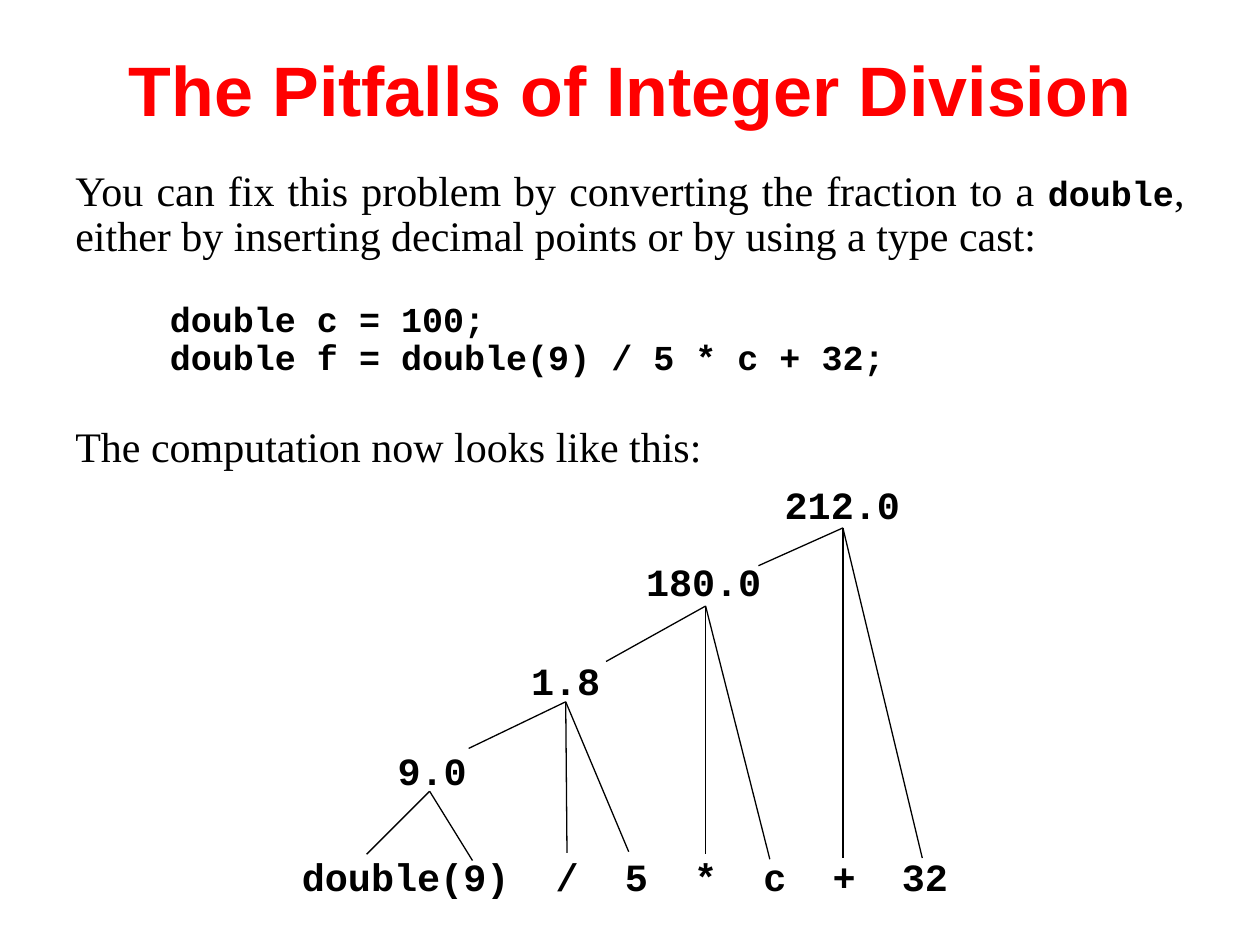
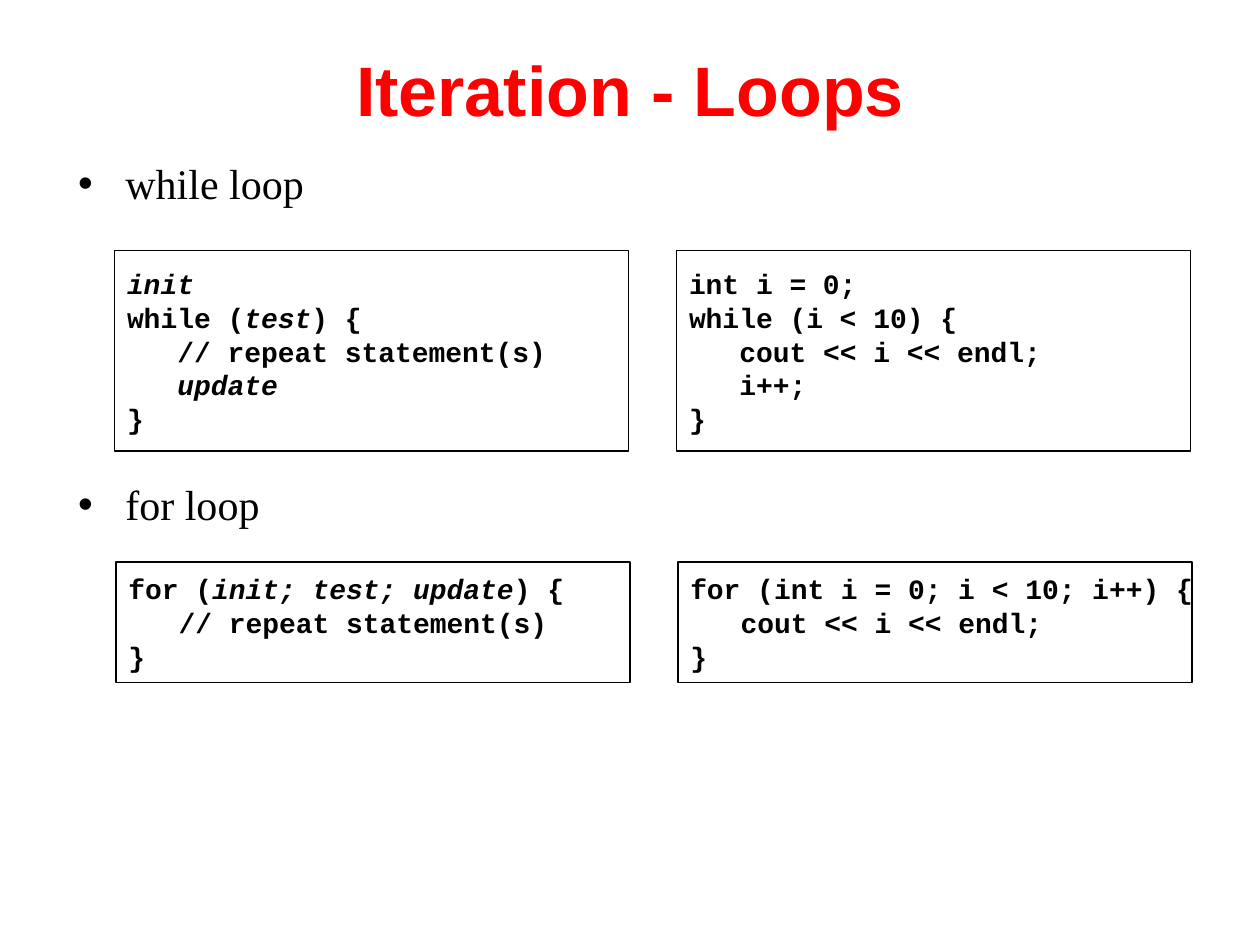
from pptx import Presentation
from pptx import util as u
from pptx.dml.color import RGBColor
from pptx.enum import shapes, text
from pptx.oxml import ns
from lxml import etree

COLORS = {"title": "FF0000", "ink": "000000", "paper": "FFFFFF"}
SERIF, MONO, SANS = "Times New Roman", "Courier New", "Arial"
ALIGN = text.PP_ALIGN
CODE = dict(font=MONO, size=20, bold=True)
TREE = dict(font=MONO, size=22, bold=True, align=ALIGN.CENTER, spacing=0.9)
LISTING = dict(font=MONO, size=16, bold=True, align=ALIGN.LEFT)
ITALIC = dict(italic=True)
CODE_INDENT = 0.4  # three characters of the listing font


def write(paragraph, pieces, font=SERIF, size=24, color="ink", bold=False,
          italic=False, tracking=0, align=ALIGN.JUSTIFY, spacing=1.0, before=0):
    """Fill a paragraph with a string, or with strings and (string, format) pairs."""
    paragraph.alignment = align
    paragraph.line_spacing = spacing
    paragraph.space_before = u.Pt(before)
    base = dict(font=font, size=size, bold=bold, italic=italic, tracking=tracking)
    for piece in [pieces] if isinstance(pieces, str) else pieces:
        words, changes = (piece, {}) if isinstance(piece, str) else piece
        look = {**base, **changes}
        run = paragraph.add_run()
        run.text = words
        run.font.name = look["font"]
        run.font.size = u.Pt(look["size"])
        run.font.bold = look["bold"]
        run.font.italic = look["italic"]
        run.font.color.rgb = RGBColor.from_string(COLORS[color])
        if look["tracking"]:
            run.font._element.set("spc", str(int(look["tracking"] * 100)))


class Deck:
    """The shared style and the slide being filled."""

    def __init__(self):
        """Start an empty 10 by 7.5 inch presentation."""
        self.prs = Presentation()
        self.prs.slide_width, self.prs.slide_height = u.Inches(10), u.Inches(7.5)
        self.slide = None

    def new_slide(self, title, layout):
        """Add a slide with the common title."""
        self.slide = self.prs.slides.add_slide(self.prs.slide_layouts[layout])
        heading = self.slide.shapes.title
        self.place(heading, 0, 0.08, 10, 1.25)
        frame = heading.text_frame
        frame.vertical_anchor = text.MSO_ANCHOR.MIDDLE
        write(frame.paragraphs[0], title, font=SANS, size=40, color="title",
              bold=True, align=ALIGN.CENTER)

    def place(self, shape, left, top, width, height):
        """Move and size a shape, in inches."""
        shape.left, shape.top = u.Inches(left), u.Inches(top)
        shape.width, shape.height = u.Inches(width), u.Inches(height)

    def bullets(self, items, left, top, width, height):
        """Fill the body placeholder with (text, space before) items."""
        body = self.slide.placeholders[1]
        self.place(body, left, top, width, height)
        frame = body.text_frame
        frame.auto_size = text.MSO_AUTO_SIZE.NONE
        for i, (item, before) in enumerate(items):
            paragraph = frame.add_paragraph() if i else frame.paragraphs[0]
            write(paragraph, item, spacing=0.85, before=before)

    def textbox(self, lines, left, top, width, height, **style):
        """Add a wrapping text box with one paragraph per line."""
        box = self.slide.shapes.add_textbox(*map(u.Inches, (left, top, width, height)))
        frame = box.text_frame
        frame.word_wrap = True
        frame.auto_size = text.MSO_AUTO_SIZE.SHAPE_TO_FIT_TEXT
        for i, line in enumerate(lines):
            paragraph = frame.add_paragraph() if i else frame.paragraphs[0]
            write(paragraph, line, **{"spacing": 0.9, **style})

    def line(self, start, end):
        """Draw a thin straight line between two points."""
        edge = self.slide.shapes.add_connector(
            shapes.MSO_CONNECTOR.STRAIGHT, *map(u.Inches, (*start, *end)))
        edge.line.color.rgb = RGBColor.from_string(COLORS["ink"])
        edge.line.width = u.Pt(0.75)
        etree.SubElement(edge._element.spPr, ns.qn("a:effectLst"))

    def listing(self, lines, left, top, height):
        """Add a framed listing of (indent level, text) lines."""
        panel = self.slide.shapes.add_shape(
            shapes.MSO_SHAPE.RECTANGLE, *map(u.Inches, (left, top, 4.08, height)))
        panel.shadow.inherit = False
        panel.fill.solid()
        panel.fill.fore_color.rgb = RGBColor.from_string(COLORS["paper"])
        panel.line.color.rgb = RGBColor.from_string(COLORS["ink"])
        panel.line.width = u.Pt(0.75)
        frame = panel.text_frame
        frame.word_wrap = False
        frame.vertical_anchor = text.MSO_ANCHOR.MIDDLE
        for i, (level, line) in enumerate(lines):
            paragraph = frame.add_paragraph() if i else frame.paragraphs[0]
            write(paragraph, line, **LISTING)
            if level:
                margin = u.Inches(CODE_INDENT * level)
                paragraph._p.get_or_add_pPr().set("marL", str(int(margin)))


def division_slide(deck):
    """Show the corrected formula and its evaluation tree."""
    deck.new_slide("The Pitfalls of Integer Division", layout=5)
    deck.textbox([["You can fix this problem by converting the fraction to a ",
                   ("double", CODE),
                   ", either by inserting decimal points or by using a type cast:"]],
                 0.5, 1.3, 9, 0.82)
    deck.textbox(["double c = 100;", "double f = double(9) / 5 * c + 32;"],
                 1.25, 2.35, 8, 0.71, **CODE)
    deck.textbox(["The computation now looks like this:"], 0.5, 3.33, 9, 0.46)

    # value, (left, top, width), apex of its branches, ends of its branches
    nodes = [
        ("9.0", (2.93, 5.92, 1), (3.41, 6.28), [(2.91, 6.78), (3.75, 6.83)]),
        ("1.8", (3.99, 5.21, 1), (4.49, 5.57),
         [(3.72, 5.94), (4.5, 6.77), (4.99, 6.76)]),
        ("180.0", (5, 4.42, 1.17), (5.6, 4.81),
         [(4.81, 5.25), (5.6, 6.78), (6.11, 6.82)]),
        ("212.0", (6.06, 3.81, 1.25), (6.69, 4.19),
         [(6.02, 4.49), (6.69, 6.81), (7.32, 6.81)]),
    ]
    for value, place, apex, ends in nodes:
        for end in ends:
            deck.line(apex, end)
        deck.textbox([value], *place, 0.43, **TREE)

    tokens = ["double(9)", "/", "5", "*", "c", "+", "32"]
    wide_space = (" ", dict(tracking=13.2))  # one extra character of room
    expression = [tokens[0]]
    for token in tokens[1:]:
        expression += [wide_space, token]
    deck.textbox([expression], 1, 6.76, 7.92, 0.44, **TREE)


def loops_slide(deck):
    """Compare the pattern and an example of each loop."""
    deck.new_slide("Iteration - Loops", layout=1)
    deck.bullets([("while loop", 0), ("for loop", 159)], 0.52, 1.26, 8.89, 5.49)
    while_pair = [
        [(0, [("init", ITALIC)]),
         (0, ["while (", ("test", ITALIC), ") {"]),
         (1, "// repeat statement(s)"),
         (1, [("update", ITALIC)]),
         (0, "}")],
        [(0, "int i = 0;"), (0, "while (i < 10) {"),
         (1, "cout << i << endl;"), (1, "i++;"), (0, "}")],
    ]
    for_pair = [
        [(0, ["for (", ("init; test; update", ITALIC), ") {"]),
         (1, "// repeat statement(s)"), (0, "}")],
        [(0, "for (int i = 0; i < 10; i++) {"),
         (1, "cout << i << endl;"), (0, "}")],
    ]
    for pair, left, top, height in [(while_pair, 0.91, 1.99, 1.59),
                                    (for_pair, 0.92, 4.46, 0.96)]:
        for column, lines in enumerate(pair):
            deck.listing(lines, left + 4.46 * column, top, height)


deck = Deck()
division_slide(deck)
loops_slide(deck)
deck.prs.save("out.pptx")
